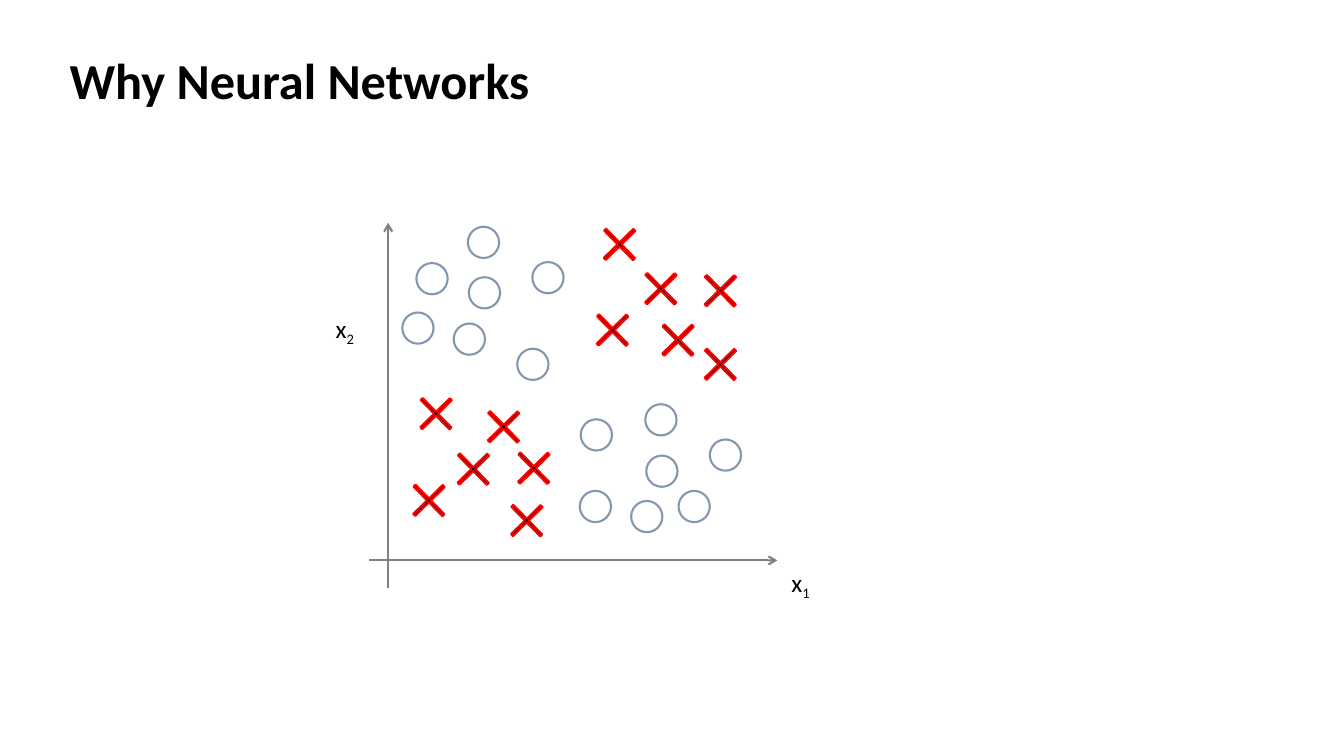
from typing import NamedTuple

from lxml.etree import SubElement
from pptx import Presentation
from pptx.dml.color import RGBColor
from pptx.enum.shapes import MSO_CONNECTOR, MSO_SHAPE
from pptx.enum.text import MSO_AUTO_SIZE
from pptx.oxml.ns import qn
from pptx.util import Inches, Pt

BLACK = RGBColor(0x00, 0x00, 0x00)
GREY = RGBColor(0x80, 0x80, 0x80)
RED = RGBColor(0xFF, 0x00, 0x00)
BLUE_GREY = RGBColor(0x84, 0x97, 0xB0)

FONT = "Calibri"
LINE_WIDTH = Pt(1.5)
CROSS_SIZE = 0.41
CIRCLE_SIZE = 0.31


class Point(NamedTuple):
    x: float
    y: float


class Label(NamedTuple):
    left: float
    top: float
    index: str


class Axis(NamedTuple):
    start: Point
    end: Point


AXIS_LABELS = [Label(7.72, 5.56, "1"), Label(3.2, 3.04, "2")]

AXES = [
    Axis(Point(3.85, 5.83), Point(3.85, 2.21)),
    Axis(Point(3.66, 5.56), Point(7.71, 5.56)),
]

# Top-left corners of the markers, by quadrant of the plot
LOWER_LEFT_CROSSES = [
    Point(4.05, 4.76), Point(5.02, 4.96), Point(4.49, 4.45),
    Point(5.09, 4.44), Point(4.79, 4.03), Point(4.12, 3.9),
]
UPPER_RIGHT_CROSSES = [
    Point(6.94, 3.41), Point(6.52, 3.17), Point(6.94, 2.68),
    Point(6.35, 2.66), Point(5.87, 3.07), Point(5.94, 2.22),
]
LOWER_RIGHT_CIRCLES = [
    Point(5.76, 4.16), Point(6.26, 4.97), Point(6.73, 4.87), Point(5.75, 4.87),
    Point(6.41, 4.52), Point(7.04, 4.36), Point(6.4, 4.01),
]
UPPER_LEFT_CIRCLES = [
    Point(4.13, 2.61), Point(4.5, 3.21), Point(5.13, 3.46), Point(3.99, 3.1),
    Point(4.65, 2.75), Point(5.28, 2.6), Point(4.64, 2.25),
]


def add_text(slide, text: str, left: float, top: float, width: float, height: float, *,
             size: int = 18, bold: bool = False, wrap: bool = False,
             subscript: str = "") -> None:
    box = slide.shapes.add_textbox(Inches(left), Inches(top), Inches(width), Inches(height))
    tf = box.text_frame
    tf.word_wrap = wrap
    tf.auto_size = MSO_AUTO_SIZE.SHAPE_TO_FIT_TEXT
    tf.margin_left = tf.margin_right = Inches(0.13)
    tf.margin_top = tf.margin_bottom = Inches(0.07)
    p = tf.paragraphs[0]
    for part in filter(None, (text, subscript)):
        r = p.add_run()
        r.text = part
        r.font.name = FONT
        r.font.size = Pt(size)
        r.font.bold = bold
        r.font.color.rgb = BLACK
    if subscript:
        r.font._element.set("baseline", "-25000")


def add_axis(slide, axis: Axis) -> None:
    line = slide.shapes.add_connector(
        MSO_CONNECTOR.STRAIGHT, *(Inches(v) for v in (*axis.start, *axis.end)))
    line.line.color.rgb = GREY
    line.line.width = LINE_WIDTH
    SubElement(line.line._get_or_add_ln(), qn("a:tailEnd"), type="arrow")
    SubElement(line._element.spPr, qn("a:effectLst"))


def add_marker(slide, kind: MSO_SHAPE, at: Point, size: float, color: RGBColor):
    sp = slide.shapes.add_shape(kind, Inches(at.x), Inches(at.y), Inches(size), Inches(size))
    sp.shadow.inherit = False
    sp.fill.background()
    sp.line.color.rgb = color
    sp.line.width = LINE_WIDTH
    return sp


def add_cross(slide, at: Point) -> None:
    sp = add_marker(slide, MSO_SHAPE.CROSS, at, CROSS_SIZE, RED)
    sp.adjustments[0] = 0.466
    sp.rotation = 45.6
    sp.fill.solid()
    sp.fill.fore_color.rgb = BLACK


def main() -> None:
    prs = Presentation()
    prs.slide_width, prs.slide_height = Inches(13.33), Inches(7.5)
    slide = prs.slides.add_slide(prs.slide_layouts[6])

    add_text(slide, "Why Neural Networks", 0.56, 0.42, 9.33, 0.74,
             size=36, bold=True, wrap=True)
    for label in AXIS_LABELS:
        add_text(slide, "x", label.left, label.top, 0.46, 0.44, subscript=label.index)
    for axis in AXES:
        add_axis(slide, axis)
    for at in LOWER_LEFT_CROSSES + UPPER_RIGHT_CROSSES:
        add_cross(slide, at)
    for at in LOWER_RIGHT_CIRCLES + UPPER_LEFT_CIRCLES:
        add_marker(slide, MSO_SHAPE.OVAL, at, CIRCLE_SIZE, BLUE_GREY)

    prs.save("out.pptx")


if __name__ == "__main__":
    main()
